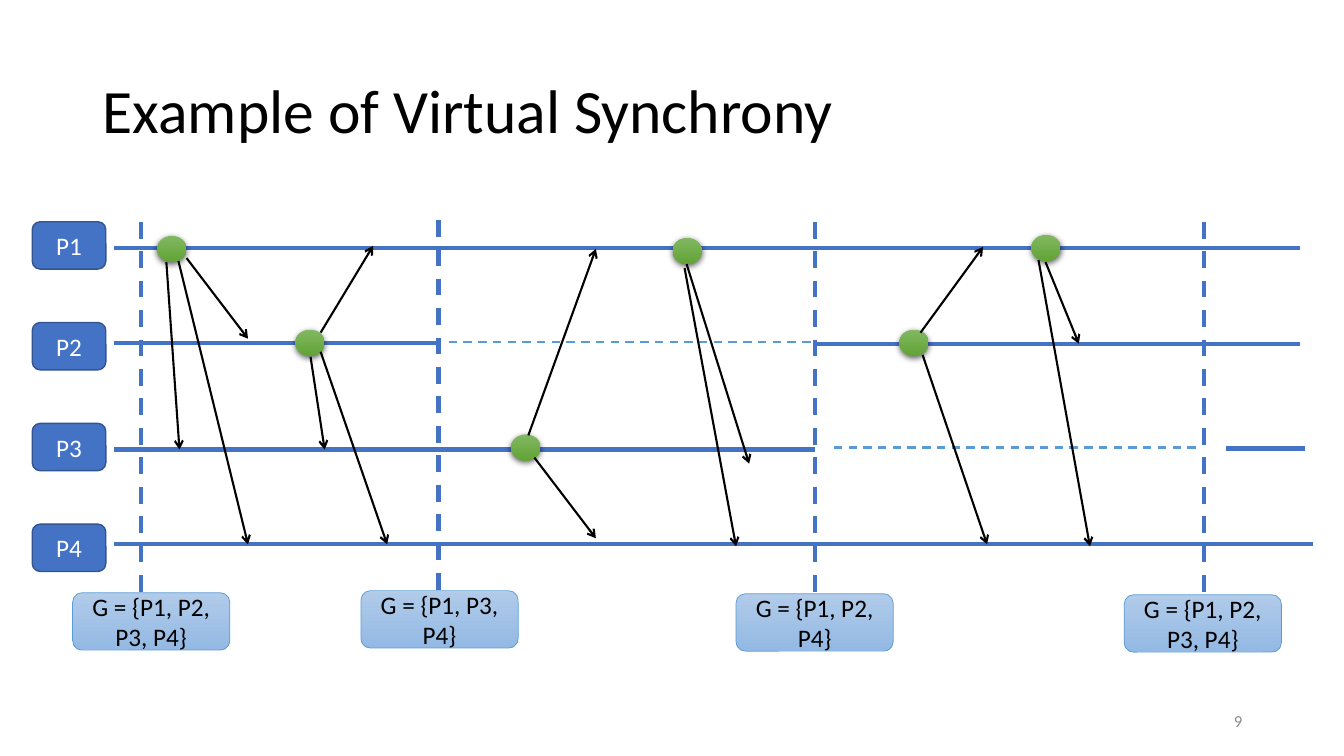
from lxml.etree import SubElement
from pptx import Presentation
from pptx.dml.color import RGBColor
from pptx.enum.dml import MSO_LINE
from pptx.enum.shapes import MSO_CONNECTOR, MSO_SHAPE
from pptx.enum.text import MSO_ANCHOR, PP_ALIGN
from pptx.oxml import parse_xml
from pptx.oxml.ns import nsdecls, qn
from pptx.util import Inches, Pt

COLORS = {
    "process": "4472C4",
    "process_border": "325491",
    "absence": "5B9BD5",
    "group_top": "B1CBE9",
    "group_bottom": "93B9E4",
    "event_top": "81B861",
    "event_bottom": "62A336",
    "black": "000000",
    "white": "FFFFFF",
    "number": "8C8C8C",
}
TIMELINES = [
    (1.13, 12.89, 2.46),
    (1.13, 4.35, 3.4),
    (8.08, 12.89, 3.41),
    (1.13, 8.08, 4.46),
    (12.16, 12.94, 4.45),
    (1.13, 13.02, 5.4),
]
ABSENCES = [(4.45, 8.08, 3.39), (8.27, 11.89, 4.44)]
VIEWS = [
    (1.4, 2.2, 0.72, 5.88, "G = {P1, P2, P3, P4}"),
    (4.35, 2.18, 3.58, 5.86, "G = {P1, P3, P4}"),
    (8.08, 2.2, 7.3, 5.89, "G = {P1, P2, P4}"),
    (11.94, 2.2, 11.15, 5.9, "G = {P1, P2, P3, P4}"),
]
MULTICASTS = [
    ((1.56, 2.34), [(1.85, 2.56, 2.46, 3.36), (1.65, 2.6, 1.78, 4.46), (1.77, 2.59, 2.46, 5.4)]),
    ((2.93, 3.27), [(3.18, 3.3, 3.7, 2.44), (3.08, 3.54, 3.22, 4.46), (3.18, 3.49, 3.84, 5.4)]),
    ((5.07, 4.31), [(5.3, 4.54, 5.91, 5.34), (5.24, 4.32, 5.91, 2.47)]),
    ((6.67, 2.36), [(6.81, 2.62, 7.43, 4.6), (6.79, 2.66, 7.3, 5.42)]),
    ((8.92, 3.27), [(9.13, 3.3, 9.75, 2.45), (9.15, 3.52, 9.79, 5.4)]),
    ((10.23, 2.33), [(10.37, 2.6, 10.7, 3.41), (10.3, 2.58, 10.81, 5.42)]),
]


def rgb(name):
    return RGBColor.from_string(COLORS[name])


def write_text(shape, text, size, color, alignment):
    frame = shape.text_frame
    frame.word_wrap = True
    frame.vertical_anchor = MSO_ANCHOR.MIDDLE
    paragraph = frame.paragraphs[0]
    paragraph.text = text
    paragraph.alignment = alignment
    paragraph.font.name = "Calibri"
    paragraph.font.size = Pt(size)
    paragraph.font.color.rgb = rgb(color)
    return paragraph


def add_text(slide, left, top, width, height, text, size, color, alignment):
    box = slide.shapes.add_textbox(Inches(left), Inches(top), Inches(width), Inches(height))
    return write_text(box, text, size, color, alignment)


def add_plain_shape(slide, kind, left, top, width, height):
    shape = slide.shapes.add_shape(kind, Inches(left), Inches(top), Inches(width), Inches(height))
    shape.shadow.inherit = False
    return shape


def fill_gradient(shape, top_color, bottom_color):
    shape.fill.gradient()
    shape.fill.gradient_angle = 270
    for stop, color in zip(shape.fill.gradient_stops, (top_color, bottom_color)):
        stop.color.rgb = rgb(color)


def set_border(shape, color, width):
    shape.line.color.rgb = rgb(color)
    shape.line.width = Pt(width)


def add_line(slide, start_x, start_y, end_x, end_y, color, width, dashed=False):
    connector = slide.shapes.add_connector(
        MSO_CONNECTOR.STRAIGHT, Inches(start_x), Inches(start_y), Inches(end_x), Inches(end_y)
    )
    set_border(connector, color, width)
    if dashed:
        connector.line.dash_style = MSO_LINE.DASH
    SubElement(connector._element.spPr, qn("a:effectLst"))
    return connector


def add_arrow(slide, start_x, start_y, end_x, end_y):
    arrow = add_line(slide, start_x, start_y, end_x, end_y, "black", 1.5)
    SubElement(arrow.line._get_or_add_ln(), qn("a:tailEnd"), type="arrow")


def add_process(slide, top, name):
    shape = add_plain_shape(slide, MSO_SHAPE.ROUNDED_RECTANGLE, 0.32, top, 0.73, 0.47)
    shape.fill.solid()
    shape.fill.fore_color.rgb = rgb("process")
    set_border(shape, "process_border", 1)
    write_text(shape, name, 18, "white", PP_ALIGN.CENTER)


def add_view(slide, line_x, line_top, left, top, members):
    add_line(slide, line_x, line_top, line_x, line_top + 3.68, "process", 3, dashed=True)
    shape = add_plain_shape(slide, MSO_SHAPE.ROUNDED_RECTANGLE, left, top, 1.56, 0.57)
    fill_gradient(shape, "group_top", "group_bottom")
    set_border(shape, "absence", 0.5)
    write_text(shape, members, 18, "black", PP_ALIGN.CENTER)


def add_event(slide, left, top):
    shape = add_plain_shape(slide, MSO_SHAPE.OVAL, left, top, 0.29, 0.26)
    fill_gradient(shape, "event_top", "event_bottom")
    shape.line.fill.background()
    shadow = parse_xml(
        f'<a:outerShdw {nsdecls("a")} blurRad="{Pt(4.5)}" dist="{Pt(1.5)}" dir="5400000" '
        f'algn="ctr" rotWithShape="0"><a:srgbClr val="{COLORS["black"]}">'
        '<a:alpha val="63000"/></a:srgbClr></a:outerShdw>'
    )
    shape._element.spPr.find(qn("a:effectLst")).append(shadow)


def main():
    presentation = Presentation()
    presentation.slide_width = Inches(13.33)
    presentation.slide_height = Inches(7.5)
    slide = presentation.slides.add_slide(presentation.slide_layouts[6])

    title = add_text(
        slide, 0.92, 0.4, 11.5, 1.45, "Example of Virtual Synchrony", 44, "black", PP_ALIGN.LEFT
    )
    title.line_spacing = 0.9
    add_text(slide, 9.42, 6.95, 3, 0.4, "9", 12, "number", PP_ALIGN.RIGHT)

    for index in range(4):
        add_process(slide, 2.2 + index, f"P{index + 1}")
    for start, end, y in TIMELINES:
        add_line(slide, start, y, end, y, "process", 3)
    for start, end, y in ABSENCES:
        add_line(slide, start, y, end, y, "absence", 1.5, dashed=True)
    for view in VIEWS:
        add_view(slide, *view)
    for event, messages in MULTICASTS:
        add_event(slide, *event)
        for message in messages:
            add_arrow(slide, *message)

    presentation.save("out.pptx")


if __name__ == "__main__":
    main()
